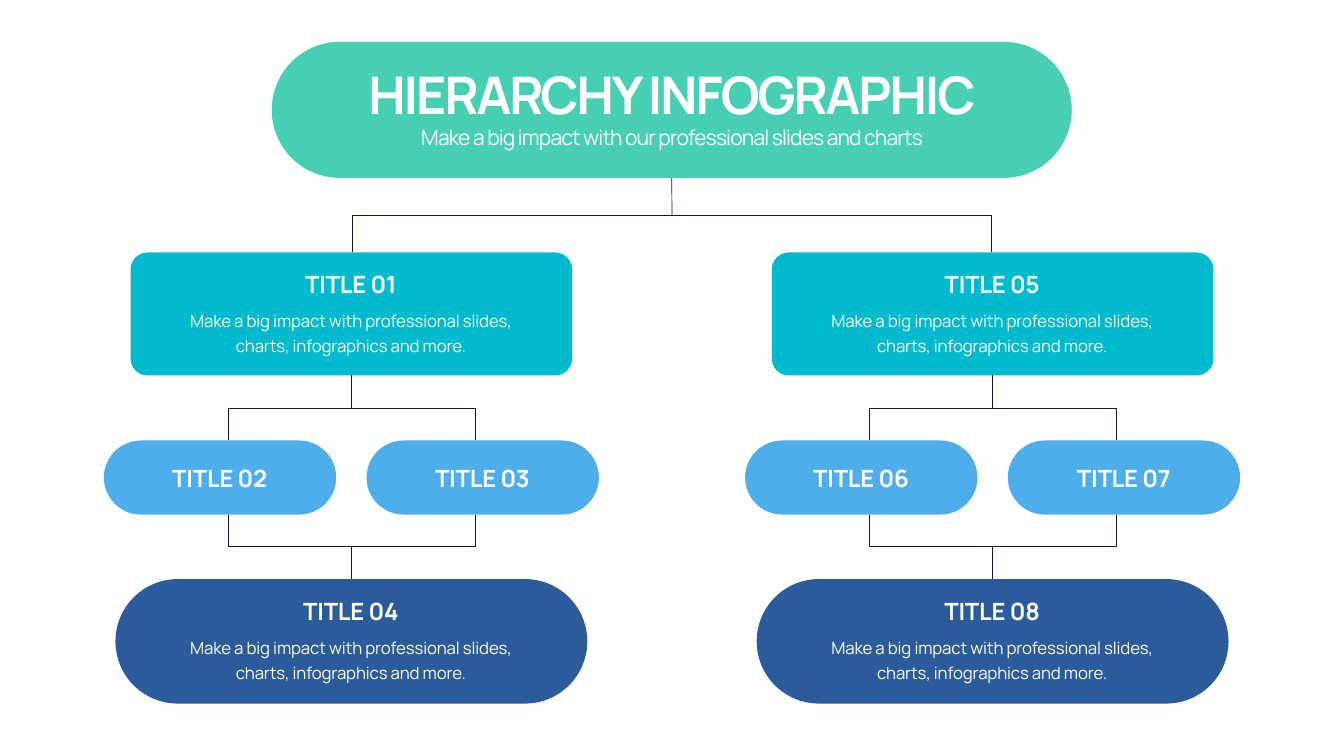
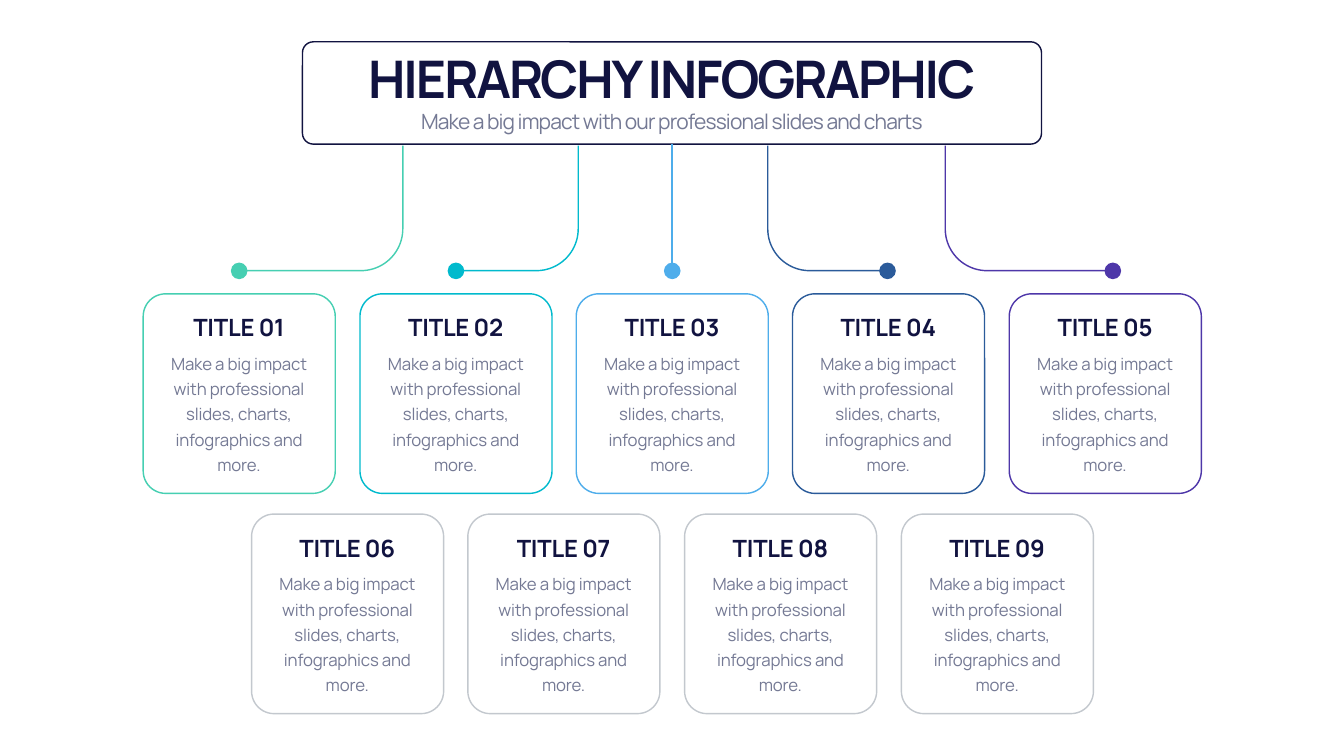
from math import cos, pi, sin

from lxml import etree
from pptx import Presentation
from pptx.dml.color import RGBColor
from pptx.enum.shapes import MSO_CONNECTOR, MSO_SHAPE
from pptx.enum.text import MSO_ANCHOR, MSO_AUTO_SIZE, PP_ALIGN
from pptx.oxml.ns import qn
from pptx.util import Pt

STRAIGHT = MSO_CONNECTOR.STRAIGHT
ROUND, OVAL = MSO_SHAPE.ROUNDED_RECTANGLE, MSO_SHAPE.OVAL
TOP, MIDDLE, BOTTOM = MSO_ANCHOR.TOP, MSO_ANCHOR.MIDDLE, MSO_ANCHOR.BOTTOM
CENTER = PP_ALIGN.CENTER
GROW = MSO_AUTO_SIZE.SHAPE_TO_FIT_TEXT

# Scale: 100 px to the inch
PX = 9144
WIDE, HIGH = 2666, 1500
MID = 1333

# Colours
WHITE, INK, GREY, PALE = "FFFFFF", "111340", "747994", "C3C8CE"
GREEN, TEAL, SKY, BLUE, PLUM = "46CFB2", "01BACD", "4EADEB", "2B5B9A", "4E37A9"

# Text styles: size, bold, letter spacing, line spacing, anchor
FONT = "Manrope"
HEAD = (74, True, -290, None, BOTTOM)
SUB = (30, False, -120, None, TOP)
NAME = (34, True, -30, None, BOTTOM)
PILL = (34, True, -30, None, MIDDLE)
BODY = (24, False, -20, 36, TOP)

MAIN = "HIERARCHY INFOGRAPHIC"
LEAD = "Make a big impact with our professional slides and charts"
BLURB = "Make a big impact with professional slides, charts, infographics and more."


def px(num):
    return round(num * PX)


def color(code):
    return RGBColor.from_string(code)


def stroke(item, hue, size):
    item.line.color.rgb = color(hue)
    item.line.width = Pt(size)


def shape(slide, kind, box, fill=None, edge=None, curve=None):
    item = slide.shapes.add_shape(kind, *map(px, box))
    item.shadow.inherit = False
    if curve is not None:
        item.adjustments[0] = curve
    if fill:
        item.fill.solid()
        item.fill.fore_color.rgb = color(fill)
    else:
        item.fill.background()
    if edge:
        stroke(item, edge, 2)
    else:
        item.line.fill.background()
    return item


def label(slide, box, text, style, hue):
    size, bold, track, lead, anchor = style
    frame = slide.shapes.add_textbox(*map(px, box)).text_frame
    frame.word_wrap = True
    frame.auto_size = GROW
    frame.vertical_anchor = anchor
    para = frame.paragraphs[0]
    para.alignment = CENTER
    if lead:
        para.line_spacing = Pt(lead)
    run = para.add_run()
    run.text = text
    run._r.get_or_add_rPr().set("spc", str(track))
    font = para.font
    font.name, font.size, font.bold = FONT, Pt(size), bold
    font.color.rgb = color(hue)


def heading(slide, left, top, width, hue, tint):
    label(slide, (left, top, width, 135), MAIN, HEAD, hue)
    label(slide, (left, top + 125, width, 61), LEAD, SUB, tint)


def caption(slide, left, top, width, high, num, hue, tint):
    label(slide, (left, top, width, 67), f"TITLE {num:02}", NAME, hue)
    label(slide, (left, top + 71, width, high), BLURB, BODY, tint)


def stem(slide, box, side, x, start, end, hue, size):
    """Vertical line from a box's top (0) or bottom (2) to a free end."""
    line = slide.shapes.add_connector(STRAIGHT, px(x), px(start), px(x), px(end))
    line.begin_connect(box, side)
    stroke(line, hue, size)
    etree.SubElement(line._element.spPr, qn("a:effectLst"))


def trace(slide, points, hue, size):
    start, *rest = [(px(x), px(y)) for x, y in points]
    path = slide.shapes.build_freeform(*start)
    path.add_line_segments(rest, close=False)
    item = path.convert_to_shape()
    item.shadow.inherit = False
    item.fill.background()
    stroke(item, hue, size)


def fork(slide, left, right, bar, foot):
    trace(slide, [(left, foot), (left, bar), (right, bar), (right, foot)], INK, 1)


def elbow(slide, x, end, hue):
    """Line down from the header that bends in a quarter circle to a dot."""
    top, base, rad, steps = 289, 537, 83, 24
    way = 1 if end > x else -1
    turns = [pi / 2 * i / steps for i in range(steps + 1)]
    bend = [(x + way * rad * (1 - cos(t)), base - rad + rad * sin(t)) for t in turns]
    trace(slide, [(x, top), *bend, (end, base)], hue, 2)


def branch(slide, dx, num):
    """Half of the tree: box, two pills and a base."""
    box = shape(slide, ROUND, (259 + dx, 501, 876, 244), TEAL, curve=0.137)
    base = shape(slide, ROUND, (229 + dx, 1149, 936, 247), BLUE, curve=0.5)
    mid = 697 + dx
    stem(slide, box, 2, mid, 745, 811, INK, 1)
    stem(slide, base, 0, mid, 1149, 1085, INK, 1)
    for bar, foot in ((810, 874), (1085, 1021)):
        fork(slide, mid - 245, mid + 245, bar, foot)
    for i in range(2):
        left = 206 + dx + 521 * i
        shape(slide, ROUND, (left, 874, 461, 147), SKY, curve=0.5)
        label(slide, (left + 25, 915, 410, 67), f"TITLE {num + 1 + i:02}", PILL, WHITE)
    for top, step in ((530, 0), (1179, 3)):
        caption(slide, 328 + dx, top, 736, 109, num + step, WHITE, WHITE)


def card(slide, left, top, num, hue):
    shape(slide, ROUND, (left, top, 381, 396), edge=hue, curve=0.117)
    caption(slide, left + 14, top + 33, 352, 260, num, INK, GREY)


def tree(slide):
    header = shape(slide, ROUND, (539, 83, 1587, 270), GREEN, curve=0.5)
    stem(slide, header, 2, MID, 353, 427, INK, 1)
    fork(slide, 698, 1967, 427, 501)
    heading(slide, 606, 118, 1454, WHITE, WHITE)
    for dx, num in ((0, 1), (1272, 5)):
        branch(slide, dx, num)


def cards(slide):
    header = shape(slide, ROUND, (600, 83, 1466, 203), edge=INK, curve=0.106)
    heading(slide, 649, 86, 1367, INK, GREY)
    # Header exit, dot centre and colour of each upper card
    links = [(799, 474, GREEN), (1147, 904, TEAL), (MID, MID, SKY),
             (1523, 1760, BLUE), (1875, 2207, PLUM)]
    step = 429.5
    for i, (x, dot, hue) in enumerate(links):
        if x == dot:
            stem(slide, header, 2, x, 286, 537, hue, 2)
        else:
            elbow(slide, x, dot, hue)
        shape(slide, OVAL, (dot - 16, 521, 33, 33), hue)
        card(slide, round(284 + step * i), 583, i + 1, hue)
    for i in range(4):
        card(slide, round(499 + step * i), 1020, i + 6, PALE)


def main():
    deck = Presentation()
    deck.slide_width, deck.slide_height = px(WIDE), px(HIGH)
    blank = deck.slide_layouts[6]
    for draw in (tree, cards):
        draw(deck.slides.add_slide(blank))
    deck.save("out.pptx")


if __name__ == "__main__":
    main()
